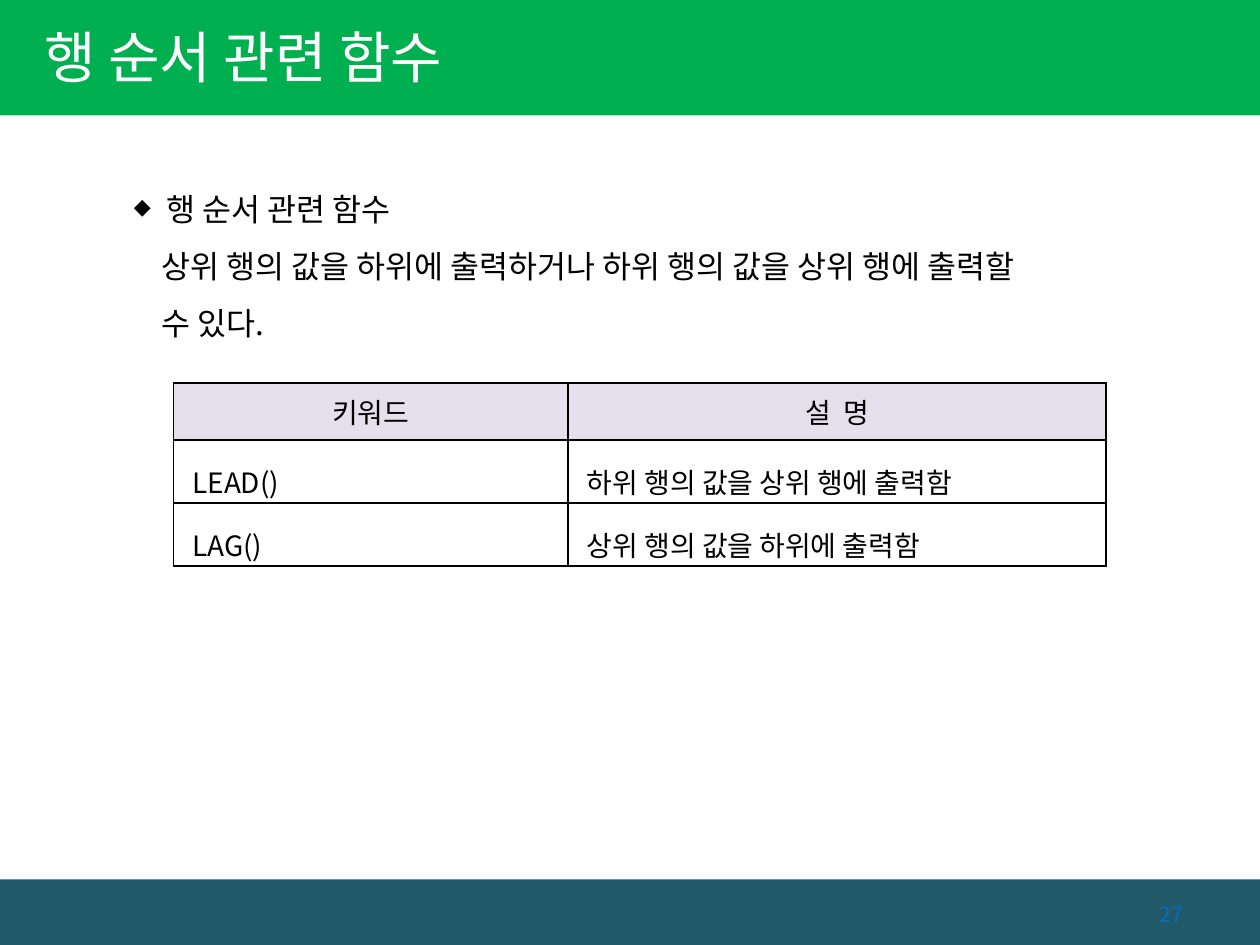
import dataclasses

import lxml.etree
import pptx
import pptx.dml.color
import pptx.enum.shapes
import pptx.enum.text
import pptx.oxml.ns
import pptx.util

Cm = pptx.util.Cm
Pt = pptx.util.Pt
Align = pptx.enum.text.PP_ALIGN
Anchor = pptx.enum.text.MSO_ANCHOR
Shape = pptx.enum.shapes.MSO_SHAPE
qn = pptx.oxml.ns.qn


@dataclasses.dataclass(frozen=True)
class Theme:
    font: str = "Noto Sans CJK KR"
    text: str = "000000"
    white: str = "FFFFFF"
    header: str = "00B050"
    footer: str = "215968"
    number: str = "0070C0"
    table_head: str = "E6E0EC"
    title_size: int = 32
    body_size: int = 18
    table_size: int = 16
    number_size: int = 12


def rgb(value):
    return pptx.dml.color.RGBColor.from_string(value)


class SlideBuilder:
    def __init__(self, slide, theme):
        self.slide = slide
        self.theme = theme

    def add_text(self, para, text, size, color):
        run = para.add_run()
        run.text = text
        run.font.size = Pt(size)
        run.font.color.rgb = rgb(color)
        run.font.name = self.theme.font
        east_asian = lxml.etree.SubElement(run.font._element, qn("a:ea"))
        east_asian.set("typeface", self.theme.font)

    def add_band(self, top, height, fill):
        band = self.slide.shapes.add_shape(Shape.RECTANGLE, 0, Cm(top), Cm(25.4), Cm(height))
        band.shadow.inherit = False
        band.fill.solid()
        band.fill.fore_color.rgb = rgb(fill)
        band.line.fill.background()

    def add_title(self, text):
        title = self.slide.shapes.title
        title.left, title.top, title.width, title.height = Cm(0), Cm(-0.07), Cm(15.9), Cm(2.39)
        # The placeholder comes first in the tree; bring it in front of the header band.
        title.element.getparent().append(title.element)
        frame = title.text_frame
        frame.margin_left = Cm(0.89)
        frame.vertical_anchor = Anchor.MIDDLE
        para = frame.paragraphs[0]
        para.alignment = Align.LEFT
        self.add_text(para, text, self.theme.title_size, self.theme.white)

    def add_text_box(self, left, top, width, height):
        box = self.slide.shapes.add_textbox(Cm(left), Cm(top), Cm(width), Cm(height))
        box.text_frame.word_wrap = True
        return box.text_frame

    def add_body(self, heading, lines):
        frame = self.add_text_box(2.31, 3.33, 22, 3.71)
        for index, text in enumerate([heading, *lines]):
            para = frame.add_paragraph() if index else frame.paragraphs[0]
            properties = para._p.get_or_add_pPr()
            if index:
                properties.set("marL", str(Cm(0.7)))
            else:
                properties.set("marL", str(Cm(0.79)))
                properties.set("indent", str(Cm(-0.65)))
                lxml.etree.SubElement(properties, qn("a:buSzPct"), val="70000")
                lxml.etree.SubElement(properties, qn("a:buChar"), char="◆")
            para.line_spacing = 1.5
            self.add_text(para, text, self.theme.body_size, self.theme.text)

    def add_cell_borders(self, cell):
        properties = cell._tc.get_or_add_tcPr()
        for position, side in enumerate(("lnL", "lnR", "lnT", "lnB")):
            border = lxml.etree.Element(qn(f"a:{side}"), w=str(Pt(1)))
            fill = lxml.etree.SubElement(border, qn("a:solidFill"))
            lxml.etree.SubElement(fill, qn("a:srgbClr"), val=self.theme.text)
            properties.insert(position, border)

    def format_cell(self, cell, text, is_head):
        para = cell.text_frame.paragraphs[0]
        cell.vertical_anchor = Anchor.MIDDLE
        if is_head:
            cell.fill.solid()
            cell.fill.fore_color.rgb = rgb(self.theme.table_head)
            para.alignment = Align.CENTER
        else:
            cell.fill.background()
            cell.margin_left = Cm(0.38)
            cell.margin_top = cell.margin_bottom = 0
            para.line_spacing = 1.5
        self.add_text(para, text, self.theme.table_size, self.theme.text)
        self.add_cell_borders(cell)

    def add_table(self, rows, left, top, widths, heights):
        frame = self.slide.shapes.add_table(
            len(rows), len(widths), Cm(left), Cm(top), Cm(sum(widths)), Cm(sum(heights)))
        table = frame.table
        table.first_row = table.horz_banding = False
        for column, width in zip(table.columns, widths):
            column.width = Cm(width)
        for row, height in zip(table.rows, heights):
            row.height = Cm(height)
        for row_index, texts in enumerate(rows):
            for column_index, text in enumerate(texts):
                self.format_cell(table.cell(row_index, column_index), text, row_index == 0)

    def add_page_number(self, number):
        frame = self.add_text_box(21.6, 17.92, 2.5, 1.02)
        frame.vertical_anchor = Anchor.MIDDLE
        para = frame.paragraphs[0]
        para.alignment = Align.RIGHT
        self.add_text(para, number, self.theme.number_size, self.theme.number)


def main():
    deck = pptx.Presentation()
    deck.slide_width, deck.slide_height = Cm(25.4), Cm(19.05)
    theme = Theme()
    page = SlideBuilder(deck.slides.add_slide(deck.slide_layouts[5]), theme)

    page.add_band(17.73, 1.32, theme.footer)
    page.add_band(0, 2.33, theme.header)
    page.add_title("행 순서 관련 함수")
    page.add_body("행 순서 관련 함수", [
        "상위 행의 값을 하위에 출력하거나 하위 행의 값을 상위 행에 출력할",
        "수 있다.",
    ])
    page.add_table([
        ("키워드", "설  명"),
        ("LEAD()", "하위 행의 값을 상위 행에 출력함"),
        ("LAG()", "상위 행의 값을 하위에 출력함"),
    ], 3.5, 7.72, widths=(7.95, 10.85), heights=(1.15, 1.27, 1.27))
    page.add_page_number("27")
    deck.save("out.pptx")


if __name__ == "__main__":
    main()
